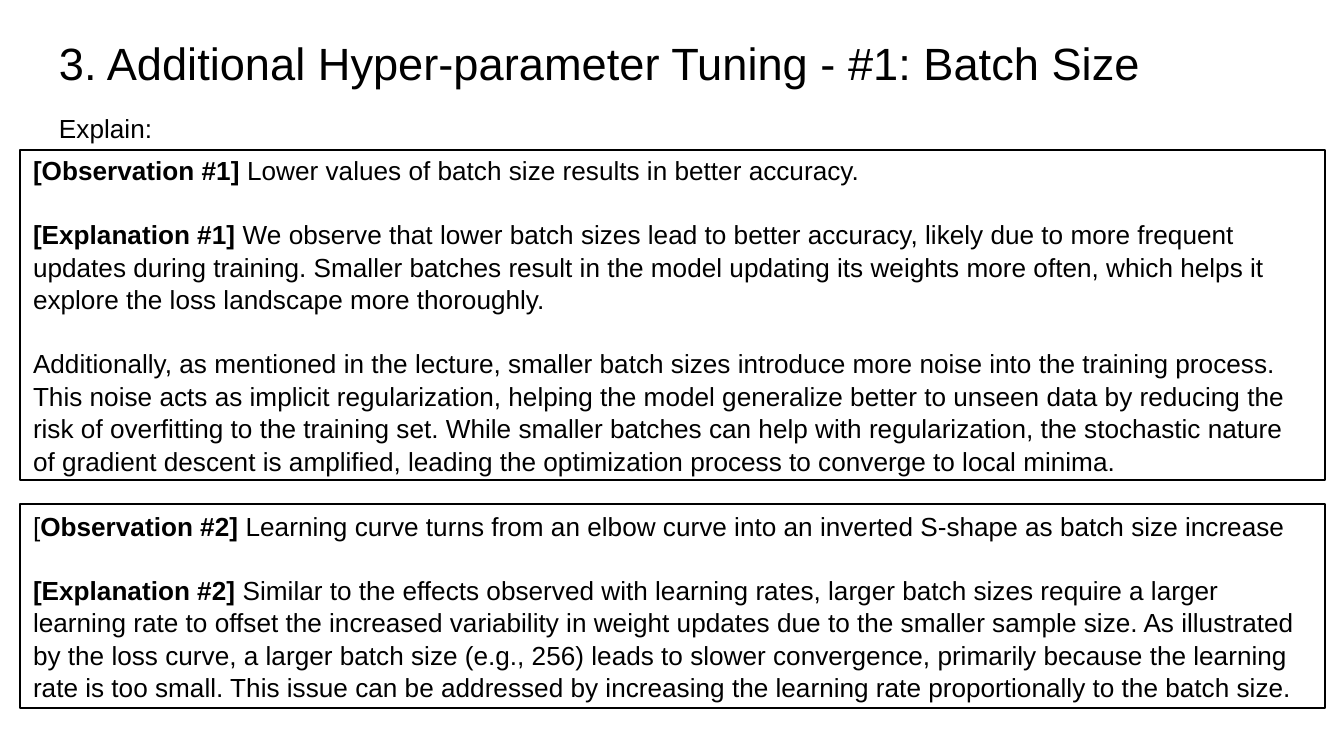
from dataclasses import dataclass

from pptx import Presentation
from pptx import util as u
from pptx.dml.color import RGBColor
from pptx.enum import shapes, text


@dataclass(frozen=True)
class Theme:
    font: str = "Arial"
    ink: RGBColor = RGBColor(0, 0, 0)
    title: float = 24.2
    body: float = 14
    leading: float = 1.04
    gap: float = 16.8
    outline: float = 1


THEME = Theme()
SLIDE_W, SLIDE_H = 1344, 756
BOX_X, BOX_W = 20, 1305

FINDINGS = [
    (150, 330, [
        [("[Observation #1] ", True),
         ("Lower values of batch size results in better accuracy.", False)],
        [("[Explanation #1] ", True),
         ("We observe that lower batch sizes lead to better accuracy, likely due to "
          "more frequent updates during training. Smaller batches result in the model "
          "updating its weights more often, which helps it explore the loss landscape "
          "more thoroughly.", False)],
        [("Additionally, as mentioned in the lecture, smaller batch sizes introduce more "
          "noise into the training process. This noise acts as implicit regularization, "
          "helping the model generalize better to unseen data by reducing the risk of "
          "overfitting to the training set. While smaller batches can help with "
          "regularization, the stochastic nature of gradient descent is amplified, "
          "leading the optimization process to converge to local minima.", False)],
    ]),
    (504, 204, [
        [("[", False), ("Observation #2] ", True),
         ("Learning curve turns from an elbow curve into an inverted S-shape as batch "
          "size increase", False)],
        [("[Explanation #2] ", True),
         ("Similar to the effects observed with learning rates, larger batch sizes "
          "require a larger learning rate to offset the increased variability in weight "
          "updates due to the smaller sample size. As illustrated by the loss curve, a "
          "larger batch size (e.g., 256) leads to slower convergence, primarily because "
          "the learning rate is too small. This issue can be addressed by increasing the "
          "learning rate proportionally to the batch size.", False)],
    ]),
]


def px(n):
    return u.Emu(round(n * 914400 / 134.4))


def write(sp, paragraphs, size=THEME.body, anchor=text.MSO_ANCHOR.MIDDLE,
          leading=THEME.leading, inset=7):
    """Fill a shape with paragraphs, each a list of (words, bold) runs."""
    tf = sp.text_frame
    tf.word_wrap = True
    tf.auto_size = text.MSO_AUTO_SIZE.NONE
    tf.vertical_anchor = anchor
    tf.margin_left = tf.margin_right = px(13)
    tf.margin_top = tf.margin_bottom = px(inset)
    for i, runs in enumerate(paragraphs):
        p = tf.add_paragraph() if i else tf.paragraphs[0]
        p.alignment = text.PP_ALIGN.LEFT
        p.line_spacing = leading
        p.space_before = u.Pt(0)
        p.space_after = u.Pt(THEME.gap if i < len(paragraphs) - 1 else 0)
        for words, bold in runs:
            r = p.add_run()
            r.text = words
            r.font.name = THEME.font
            r.font.size = u.Pt(size)
            r.font.bold = bold
            r.font.color.rgb = THEME.ink


def add_heading(s, x, y, w, h):
    sp = s.shapes.title
    sp.left, sp.top, sp.width, sp.height = map(px, (x, y, w, h))
    write(sp, [[("3. Additional Hyper-parameter Tuning - #1: Batch Size", False)]],
          size=THEME.title, leading=1.0, inset=13)


def add_lead_in(s, x, y, w, h):
    sp = s.shapes.add_textbox(*map(px, (x, y, w, h)))
    write(sp, [[("Explain:", False)]], anchor=text.MSO_ANCHOR.TOP)


def add_finding(s, x, y, w, h, paragraphs):
    sp = s.shapes.add_shape(shapes.MSO_SHAPE.RECTANGLE, *map(px, (x, y, w, h)))
    sp.shadow.inherit = False
    sp.fill.background()
    sp.line.color.rgb = THEME.ink
    sp.line.width = u.Pt(THEME.outline)
    write(sp, paragraphs)


def main():
    prs = Presentation()
    prs.slide_width, prs.slide_height = px(SLIDE_W), px(SLIDE_H)
    s = prs.slides.add_slide(prs.slide_layouts[5])
    add_heading(s, 46, 20, 1253, 85)
    add_lead_in(s, 46, 104, 1278, 77)
    for y, h, paragraphs in FINDINGS:
        add_finding(s, BOX_X, y, BOX_W, h, paragraphs)
    prs.save("out.pptx")


if __name__ == "__main__":
    main()
